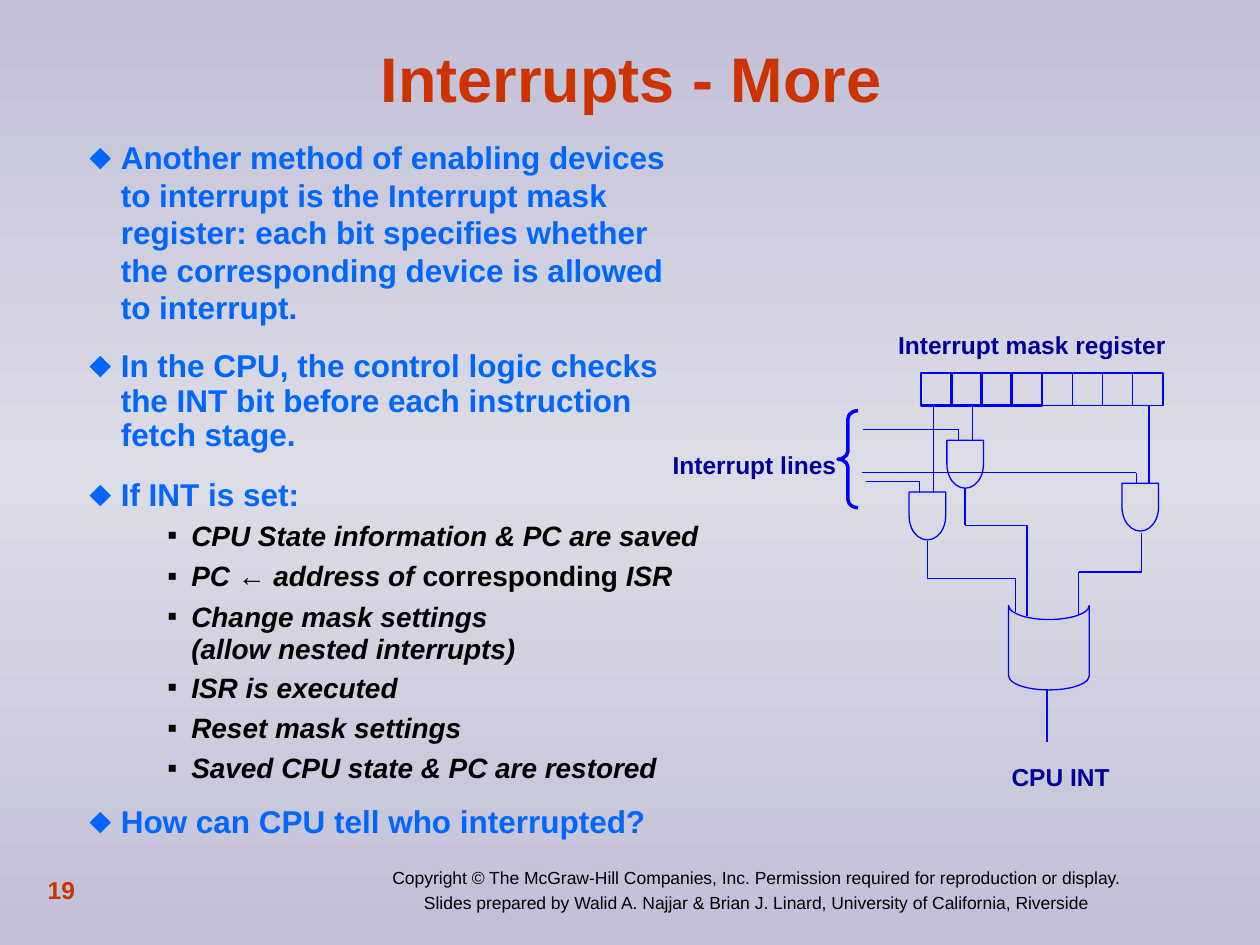
from copy import deepcopy
from dataclasses import dataclass
from itertools import pairwise

from lxml.etree import SubElement
from pptx import Presentation
from pptx.dml.color import RGBColor
from pptx.enum.shapes import MSO_CONNECTOR, MSO_SHAPE
from pptx.enum.text import MSO_ANCHOR, PP_ALIGN
from pptx.oxml.ns import qn
from pptx.util import Inches, Pt


@dataclass(frozen=True)
class Theme:
    font: str = "Arial"
    accent: RGBColor = RGBColor.from_string("CC3300")
    topic: RGBColor = RGBColor.from_string("0066FF")
    text: RGBColor = RGBColor.from_string("000000")
    wire: RGBColor = RGBColor.from_string("0000FF")
    label: RGBColor = RGBColor.from_string("000099")
    edge: RGBColor = RGBColor.from_string("C1C0D8")
    middle: RGBColor = RGBColor.from_string("DBDCE5")
    title_size: int = 36
    topic_size: int = 18
    detail_size: int = 16
    label_size: int = 14
    footer_size: int = 10
    thin: float = 0.75


THEME = Theme()

# Level, text runs (the second of several is upright), line pitch, space before
OUTLINE = [
    (0, ["Another method of enabling devices to interrupt is the Interrupt mask register: "
         "each bit specifies whether the corresponding device is allowed\vto interrupt."], 21.4, 0),
    (0, ["In the CPU, the control logic checks the INT bit before each instruction fetch stage."],
     19.7, 13.5),
    (0, ["If INT is set:"], 19.7, 14.5),
    (1, ["CPU State information & PC are saved"], 18.4, 4.2),
    (1, ["PC ← address of ", "corresponding", " ISR"], 18.4, 4.6),
    (1, ["Change mask settings\v(allow nested interrupts)"], 18.4, 4.6),
    (1, ["ISR is executed"], 18.4, 4),
    (1, ["Reset mask settings"], 18.4, 4.6),
    (1, ["Saved CPU state & PC are restored"], 18.4, 4.6),
    (0, ["How can CPU tell who interrupted?"], 19.7, 12),
]

# Wire routes, in inches from the diagram's corner
MASK_BIT_WIRES = [
    [(2.17, 0.65), (2.17, 1.34)],
    [(2.48, 0.65), (2.48, 0.93)],
    [(3.88, 0.65), (3.88, 1.27)],
]
INTERRUPT_WIRES = [
    [(1.61, 0.84), (2.37, 0.84), (2.37, 0.93)],
    [(1.63, 1.25), (2.06, 1.25), (2.06, 1.34)],
    [(1.6, 1.18), (3.78, 1.18), (3.78, 1.27)],
]
OUTPUT_WIRES = [
    [(2.12, 1.72), (2.12, 2.02), (2.82, 2.02), (2.82, 2.29)],
    [(2.42, 1.31), (2.42, 1.6), (2.91, 1.6), (2.91, 2.32)],
    [(3.82, 1.66), (3.82, 1.97), (3.32, 1.97), (3.32, 2.31)],
    [(3.07, 2.9), (3.07, 3.32)],
]
AND_GATES = [(1.93, 1.38), (2.23, 0.97), (3.62, 1.31)]


def format_font(font, size, color, bold=True):
    font.name = THEME.font
    font.size = Pt(size)
    font.bold = bold
    font.color.rgb = color


def add_text(slide, box, lines, size, color, bold=True, align=PP_ALIGN.LEFT,
             anchor=MSO_ANCHOR.TOP):
    text_frame = slide.shapes.add_textbox(*map(Inches, box)).text_frame
    text_frame.word_wrap = True
    text_frame.vertical_anchor = anchor
    text_frame.text = "\n".join(lines)
    for index, paragraph in enumerate(text_frame.paragraphs):
        paragraph.alignment = align
        paragraph.space_before = Pt(2.5 if index else 0)
        format_font(paragraph.runs[0].font, size, color, bold)


def paint_background(slide):
    fill = slide.background.fill
    fill.gradient()
    fill.gradient_angle = 90
    first, last = fill.gradient_stops
    first.color.rgb = last.color.rgb = THEME.edge
    first.position, last.position = 0.5, 1
    stops = slide.background._cSld.find(f".//{qn('a:gsLst')}")
    stops.insert(0, deepcopy(stops[0]))
    stops[0].set("pos", "0")
    first.color.rgb = THEME.middle


def place_title(slide, box, text):
    title = slide.shapes.title
    title.left, title.top, title.width, title.height = map(Inches, box)
    title.text_frame.text = text
    title.text_frame.vertical_anchor = MSO_ANCHOR.MIDDLE
    paragraph = title.text_frame.paragraphs[0]
    paragraph.alignment = PP_ALIGN.CENTER
    format_font(paragraph.runs[0].font, THEME.title_size, THEME.accent)


def add_bullet(paragraph, character, color, margin, hanging):
    properties = paragraph._p.get_or_add_pPr()
    properties.set("marL", str(Inches(margin)))
    properties.set("indent", str(-Inches(hanging)))
    bullet_color = SubElement(properties, qn("a:buClr"))
    SubElement(bullet_color, qn("a:srgbClr")).set("val", str(color))
    SubElement(properties, qn("a:buFont")).set("typeface", THEME.font)
    SubElement(properties, qn("a:buChar")).set("char", character)


def add_outline(slide, box):
    styles = [
        (("⬥", THEME.topic, 0.37, 0.25), THEME.topic_size, THEME.topic),
        (("▪", THEME.text, 0.93, 0.19), THEME.detail_size, THEME.text),
    ]
    text_frame = slide.shapes.add_textbox(*map(Inches, box)).text_frame
    text_frame.word_wrap = True
    for index, (level, pieces, pitch, gap) in enumerate(OUTLINE):
        paragraph = text_frame.add_paragraph() if index else text_frame.paragraphs[0]
        bullet, size, color = styles[level]
        paragraph.text = pieces[0]
        for piece in pieces[1:]:
            paragraph.add_run().text = piece
        add_bullet(paragraph, *bullet)
        paragraph.level = level
        paragraph.line_spacing = Pt(pitch)
        paragraph.space_before = Pt(gap)
        format_font(paragraph.font, size, color)
        for number, run in enumerate(paragraph.runs):
            format_font(run.font, size, color)
            upright = len(pieces) > 1 and number == 1
            run.font.italic = level == 1 and not upright


def add_interrupt_diagram(slide, left, top):
    def add_part(kind, x, y, width, height, line_width=THEME.thin, rotation=0):
        shape = slide.shapes.add_shape(
            kind, Inches(left + x), Inches(top + y), Inches(width), Inches(height))
        shape.shadow.inherit = False
        shape.fill.background()
        shape.line.color.rgb = THEME.wire
        shape.line.width = Pt(line_width)
        shape.rotation = rotation
        return shape

    def add_label(text, x, y, width):
        add_text(slide, (left + x, top + y, width, 0.34), [text],
                 THEME.label_size, THEME.label)

    # Mask register: eight bits, the first four outlined heavily
    for bit in range(8):
        add_part(MSO_SHAPE.RECTANGLE, 2.07 + 0.24 * bit, 0.39, 0.24, 0.26,
                 1.5 if bit < 4 else THEME.thin)

    # Gates
    for x, y in AND_GATES:
        add_part(MSO_SHAPE.FLOWCHART_DELAY, x, y, 0.38, 0.29, rotation=90)
    add_part(MSO_SHAPE.FLOWCHART_STORED_DATA, 2.75, 2.25, 0.67, 0.64, rotation=270)

    # Wires
    for route in MASK_BIT_WIRES + INTERRUPT_WIRES + OUTPUT_WIRES:
        for (x1, y1), (x2, y2) in pairwise(route):
            wire = slide.shapes.add_connector(
                MSO_CONNECTOR.STRAIGHT, Inches(left + x1), Inches(top + y1),
                Inches(left + x2), Inches(top + y2))
            wire.line.color.rgb = THEME.wire
            wire.line.width = Pt(THEME.thin)
            SubElement(wire._element.spPr, qn("a:effectLst"))

    # Brace and labels
    brace = add_part(MSO_SHAPE.LEFT_BRACE, 1.41, 0.69, 0.16, 0.77, 2)
    brace.adjustments[0] = 0.4
    add_label("Interrupt mask register", 1.79, 0, 2.45)
    add_label("Interrupt lines", 0, 0.95, 1.6)
    add_label("CPU INT", 2.69, 3.43, 1.1)


def add_footer(slide):
    add_text(slide, (2.78, 6.83, 6.44, 0.47), [
        "Copyright © The McGraw-Hill Companies, Inc. "
        "Permission required for reproduction or display.",
        "Slides prepared by Walid A. Najjar & Brian J. Linard, "
        "University of California, Riverside",
    ], THEME.footer_size, THEME.text, False, PP_ALIGN.CENTER, MSO_ANCHOR.MIDDLE)
    add_text(slide, (0.28, 6.81, 2.08, 0.5), ["19"], THEME.label_size, THEME.accent,
             anchor=MSO_ANCHOR.MIDDLE)


def main():
    presentation = Presentation()
    presentation.slide_width, presentation.slide_height = Inches(10), Inches(7.5)
    slide = presentation.slides.add_slide(presentation.slide_layouts[5])
    paint_background(slide)
    place_title(slide, (0.51, 0.29, 9, 0.64), "Interrupts - More")
    add_outline(slide, (0.49, 1.05, 5.18, 5.75))
    add_interrupt_diagram(slide, 5.24, 2.57)
    add_footer(slide)
    presentation.save("out.pptx")


if __name__ == "__main__":
    main()
